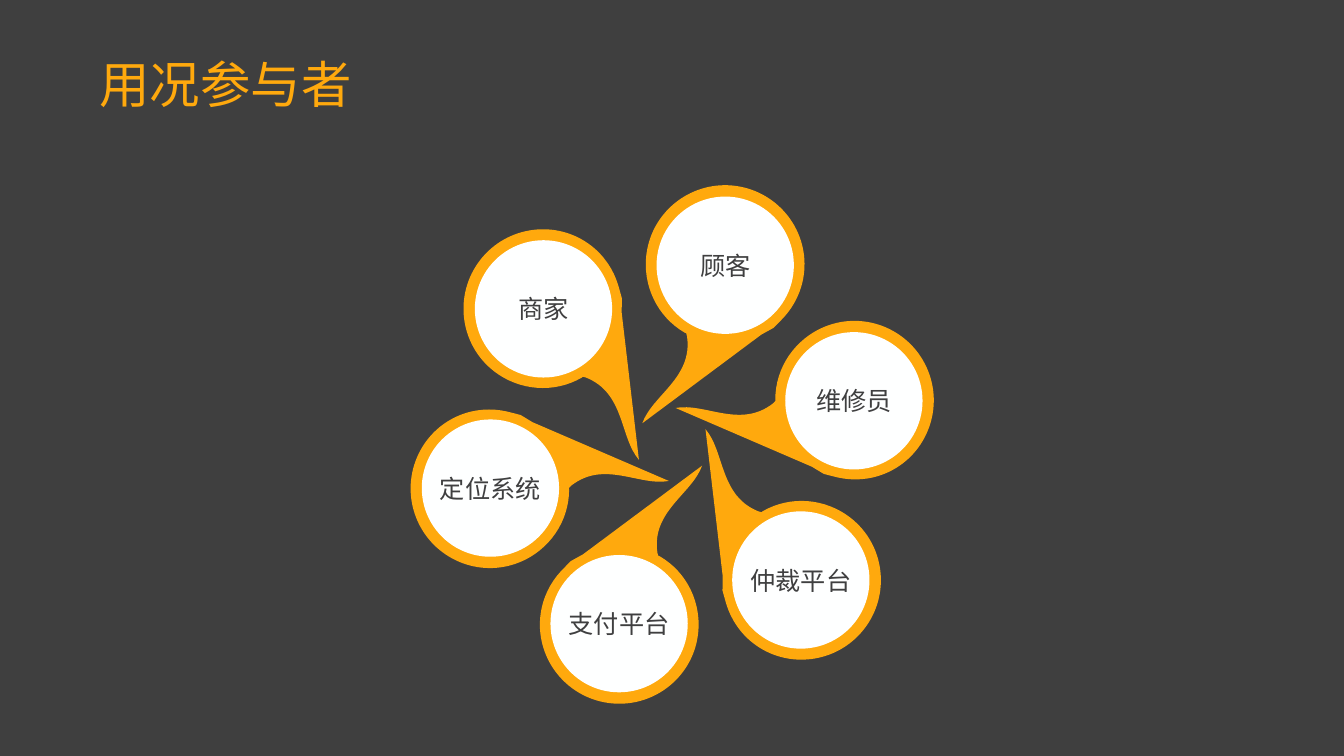
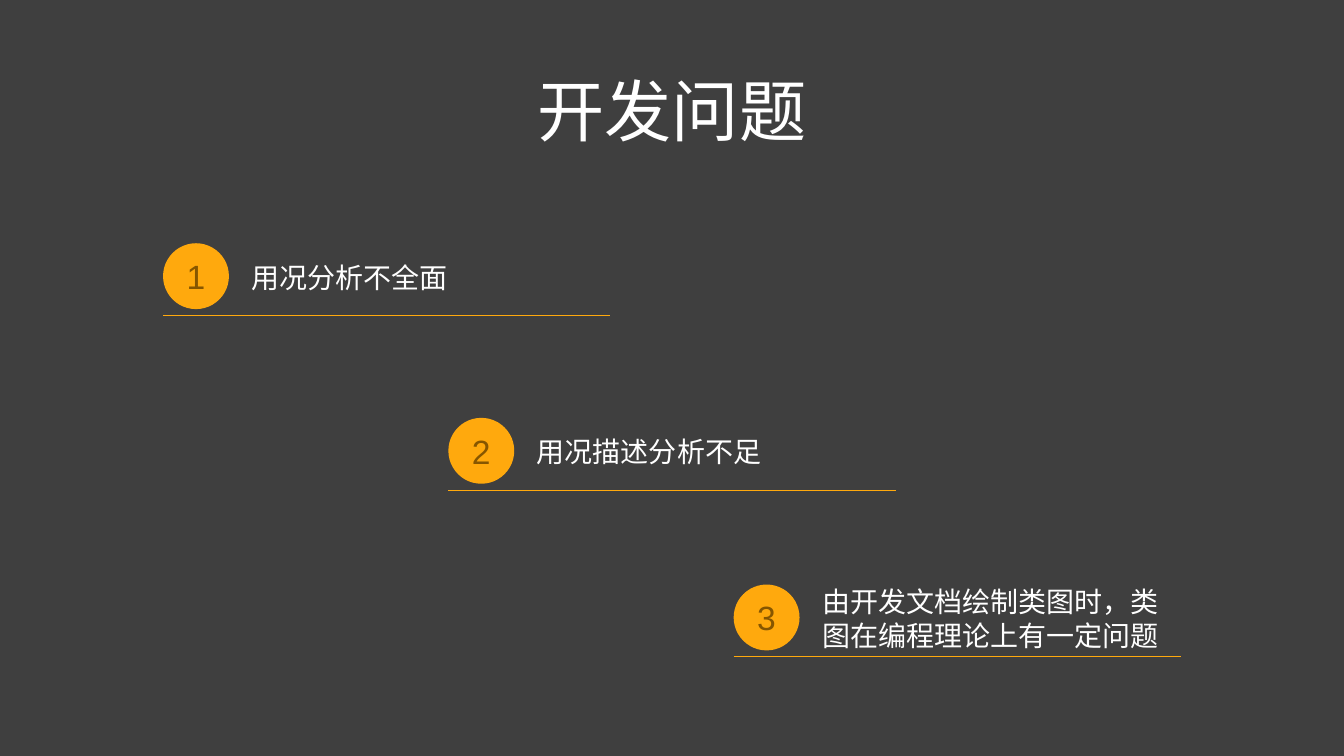
import math
from lxml import etree
from pptx import Presentation
from pptx import util as u
from pptx.dml.color import RGBColor
from pptx.enum import shapes, text
from pptx.oxml.ns import qn

Cm, Pt = u.Cm, u.Pt
LEFT, CENTER = text.PP_ALIGN.LEFT, text.PP_ALIGN.CENTER

THEME = {
    "font": "Arial",
    "back": RGBColor.from_string("3F3F3F"),
    "accent": RGBColor.from_string("FFA90D"),
    "accent_dark": RGBColor.from_string("865600"),
    "disc": RGBColor.from_string("FEFFFF"),
    "disc_text": RGBColor.from_string("3F3F40"),
    "light": RGBColor.from_string("FFFFFF"),
    "title": Pt(36), "headline": Pt(48),
    "label": Pt(18), "item": Pt(20), "number": Pt(24),
    "rule": Pt(0.5),
}


def write(sp, words, size, color, align=CENTER, spacing=None, **frame):
    """Put one formatted paragraph in a shape or text box."""
    tf = sp.text_frame
    frame = {"word_wrap": True, "vertical_anchor": text.MSO_ANCHOR.MIDDLE, **frame}
    for name, value in frame.items():
        setattr(tf, name, value)
    p = tf.paragraphs[0]
    p.alignment = align
    if spacing:
        p.line_spacing = spacing
    r = p.add_run()
    r.text = words
    for name, value in {"name": THEME["font"], "size": THEME[size]}.items():
        setattr(r.font, name, value)
    r.font.color.rgb = THEME[color]


def paint(sp, color):
    """Flat fill without outline or shadow."""
    sp.shadow.inherit = False
    sp.fill.solid()
    sp.fill.fore_color.rgb = THEME[color]
    sp.line.fill.background()


prs = Presentation()
prs.slide_width, prs.slide_height = Cm(33.87), Cm(19.05)
slides = [prs.slides.add_slide(prs.slide_layouts[6]) for _ in range(2)]
for s in slides:
    s.background.fill.solid()
    s.background.fill.fore_color.rgb = THEME["back"]

# Slide 1: title
s = slides[0]
sp = s.shapes.add_textbox(Cm(2.33), Cm(1.02), Cm(29.21), Cm(2.38))
write(sp, "用况参与者", "title", "accent", LEFT, 0.9,
      margin_left=Cm(0.18), margin_right=Cm(0.18),
      margin_top=Cm(0.1), margin_bottom=Cm(0.1))

# Level petal outline in cm: one point is a line, three are a curve
START = (4.26, 0)
SEGMENTS = [
    [(5.36, 0), (6.25, 0.9), (6.25, 2)],
    [(6.25, 3.1), (5.36, 4), (4.26, 4)],
    [(3.85, 4), (3.46, 3.87), (3.14, 3.65)],
    [(3.07, 3.6)], [(2.84, 3.43)], [(2.63, 3.15)], [(0, 0.49)],
    [(0.74, 0.64), (1.31, 1.6), (2.33, 1.3)],
    [(2.4, 1.27)], [(2.41, 1.23)],
    [(2.71, 0.49), (3.44, 0), START],
]
points = [(Cm(x), Cm(y)) for seg in SEGMENTS for x, y in seg]

# Six petals turned around the hub, clockwise from the top
HUB = (16.94, 11.2)
PETAL_CENTER, PETAL_TILT = (3.55, -0.69), -22
DISC_CENTER, DISC = (4.58, -1.1), 3.46
actors = ["顾客", "维修员", "仲裁平台", "支付平台", "定位系统", "商家"]
for i, actor in enumerate(actors):
    turn = 360 / len(actors) * (i - 1)
    cos, sin = math.cos(math.radians(turn)), math.sin(math.radians(turn))
    (px, py), (cx, cy) = [(HUB[0] + x * cos - y * sin, HUB[1] + x * sin + y * cos)
                          for x, y in (PETAL_CENTER, DISC_CENTER)]
    grp = s.shapes.add_group_shape()
    fb = grp.shapes.build_freeform(Cm(START[0]), Cm(START[1]))
    fb.add_line_segments(points, close=True)
    sp = fb.convert_to_shape()
    paint(sp, "accent")

    # Join each run of three points into a Bézier curve
    lines = iter(list(sp._element.iter(qn("a:lnTo"))))
    for seg in SEGMENTS:
        steps = [next(lines) for _ in seg]
        if len(seg) == 3:
            curve = etree.Element(qn("a:cubicBezTo"))
            steps[0].addprevious(curve)
            for step in steps:
                curve.append(step[0])
                step.getparent().remove(step)

    sp.left, sp.top = Cm(px) - sp.width // 2, Cm(py) - sp.height // 2
    sp.rotation = (turn + PETAL_TILT) % 360
    sp = grp.shapes.add_shape(shapes.MSO_SHAPE.OVAL, Cm(cx - DISC / 2),
                              Cm(cy - DISC / 2), Cm(DISC), Cm(DISC))
    paint(sp, "disc")
    write(sp, actor, "label", "disc_text", word_wrap=False)

# Slide 2: headline
s = slides[1]
sp = s.shapes.add_textbox(Cm(12.96), Cm(1.12), Cm(7.95), Cm(3.28))
write(sp, "开发问题", "headline", "light")

# Numbered problems stepping down to the right
problems = [
    (6.13, "用况分析不全面"),
    (10.53, "用况描述分析不足"),
    (14.73, "由开发文档绘制类图时，类图在编程理论上有一定问题"),
]
for i, (y, problem) in enumerate(problems):
    x = 4.11 + 7.19 * i
    grp = s.shapes.add_group_shape()
    sp = grp.shapes.add_shape(shapes.MSO_SHAPE.OVAL, Cm(x), Cm(y), Cm(1.66), Cm(1.66))
    paint(sp, "accent")
    write(sp, str(i + 1), "number", "accent_dark", word_wrap=False)
    sp = grp.shapes.add_textbox(Cm(x + 1.98), Cm(y - 0.13), Cm(9.3), Cm(1.96))
    write(sp, problem, "item", "light", LEFT)
    rule = grp.shapes.add_connector(shapes.MSO_CONNECTOR.STRAIGHT, Cm(x), Cm(y + 1.82),
                                    Cm(x + 11.27), Cm(y + 1.82))
    rule.line.color.rgb = THEME["accent"]
    rule.line.width = THEME["rule"]
    etree.SubElement(rule._element.spPr, qn("a:effectLst"))

prs.save("out.pptx")
